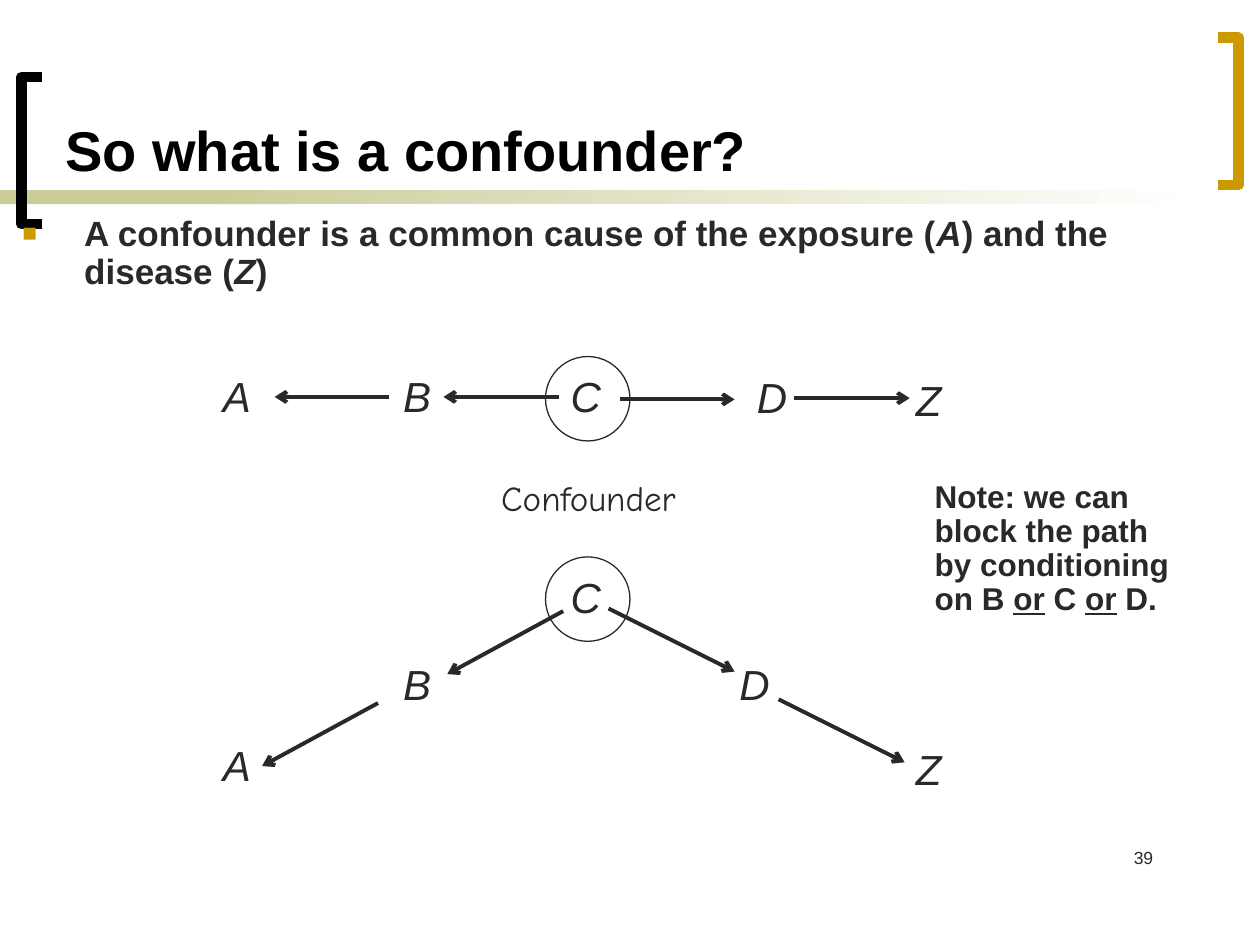
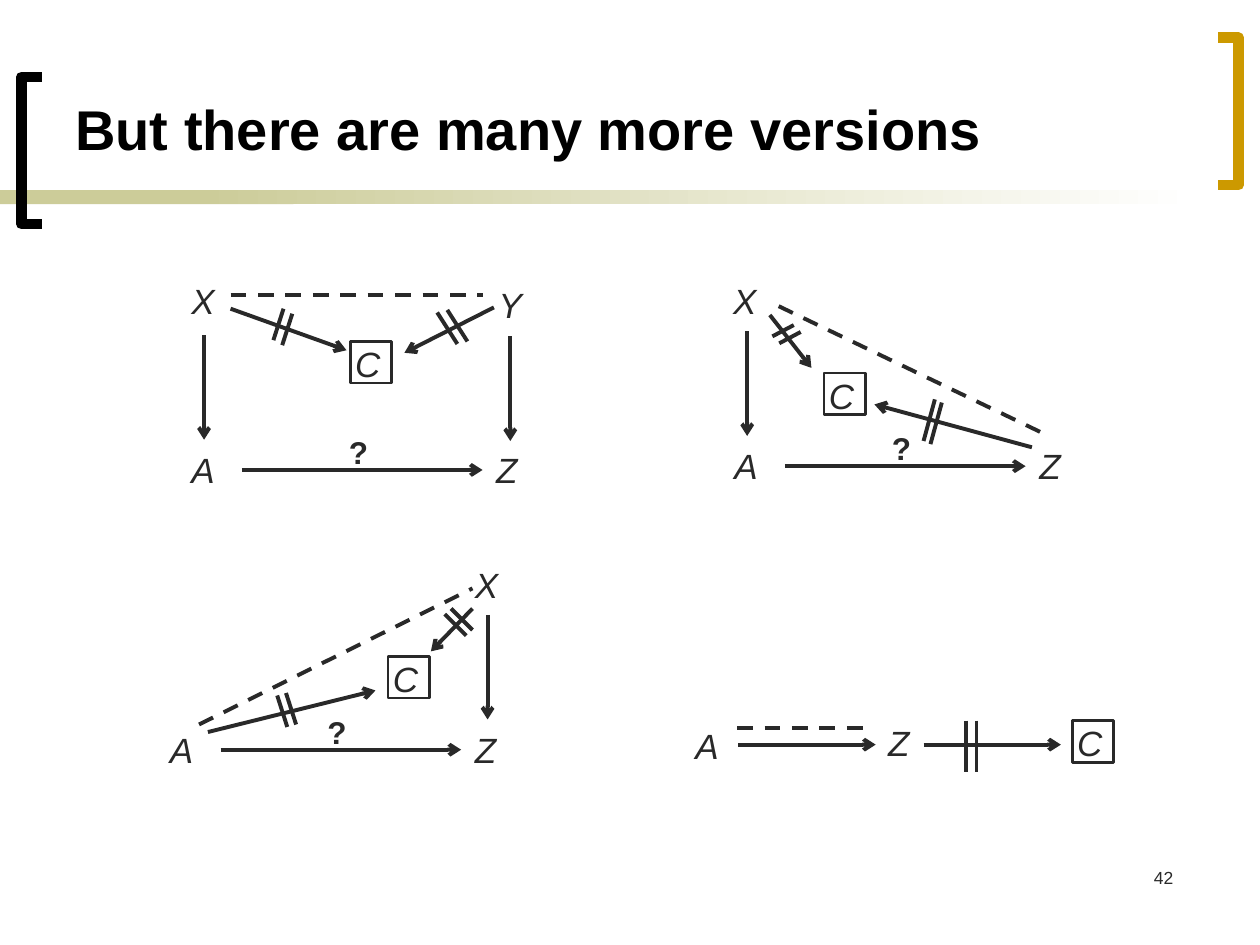
import dataclasses

import lxml.etree
import pptx
import pptx.dml.color
import pptx.enum.dml
import pptx.enum.shapes
import pptx.enum.text
import pptx.oxml.ns
import pptx.util

COLUMNS, ROWS = 100, 75
WIDTH, HEIGHT = pptx.util.Inches(10), pptx.util.Inches(7.5)
INSET = 1
EM_WIDTHS = {"A": 0.67, "B": 0.67, "C": 0.72, "D": 0.72, "X": 0.67,
             "Y": 0.67, "Z": 0.61, "?": 0.61, "Confounder": 5}


@dataclasses.dataclass(frozen=True)
class Theme:
    ink = pptx.dml.color.RGBColor.from_string("292929")
    black = pptx.dml.color.RGBColor.from_string("000000")
    white = pptx.dml.color.RGBColor.from_string("FFFFFF")
    sand = pptx.dml.color.RGBColor.from_string("CCCC99")
    gold = pptx.dml.color.RGBColor.from_string("CC9900")
    font = "Arial"
    hand_font = "Comic Neue"
    title = 32
    node = 24
    body = 20
    note = 18
    number = 10
    arrow = 2.25
    bracket = 6


THEME = Theme()


def col(columns):
    return round(WIDTH * columns / COLUMNS)


def row(rows):
    return round(HEIGHT * rows / ROWS)


def place(left, top, width, height):
    return col(left), row(top), col(width), row(height)


def add_xml(parent, tag, **attributes):
    return lxml.etree.SubElement(parent, pptx.oxml.ns.qn(tag), attributes)


def add_text(slide, area, runs, size, color=THEME.ink, font=THEME.font, bold=None,
             italic=None, wrap=True, anchor=pptx.enum.text.MSO_ANCHOR.TOP):
    frame = slide.shapes.add_textbox(*place(*area)).text_frame
    frame.word_wrap = wrap
    frame.vertical_anchor = anchor
    paragraph = frame.paragraphs[0]
    for text, emphasis in runs:
        run = paragraph.add_run()
        run.text = text
        if emphasis:
            setattr(run.font, emphasis, True)
    paragraph.font.size = pptx.util.Pt(size)
    paragraph.font.name = font
    paragraph.font.color.rgb = color
    paragraph.font.bold = bold
    paragraph.font.italic = italic
    return paragraph


def add_label(slide, text, left, top, size, **style):
    points_per_column = 72 * WIDTH / pptx.util.Inches(1) / COLUMNS
    width = 2 * INSET + EM_WIDTHS[text] * size / points_per_column
    height = INSET + 1.2 * size / points_per_column
    add_text(slide, (left, top, width, height), [(text, None)], size, wrap=False, **style)


def add_node(slide, letter, left, top, size=THEME.body):
    add_label(slide, letter, left, top, size, italic=True)


def indent(paragraph, margin, hanging=0):
    properties = paragraph._p.get_or_add_pPr()
    properties.set("marL", str(col(margin)))
    properties.set("indent", str(-col(hanging)))
    paragraph.line_spacing = 0.9
    return properties


def add_bullet(slide, area, runs):
    paragraph = add_text(slide, area, [], THEME.body, bold=True)
    paragraph._p.remove(paragraph._p.pPr)
    properties = indent(paragraph, 4.9, 4.9)
    color = add_xml(properties, "a:buClr")
    add_xml(color, "a:srgbClr", val=str(THEME.gold))
    add_xml(properties, "a:buSzPct", val="70000")
    add_xml(properties, "a:buFont", typeface=THEME.font)
    add_xml(properties, "a:buChar", char="■")
    for text, emphasis in runs:
        run = paragraph.add_run()
        run.text = text
        if emphasis:
            setattr(run.font, emphasis, True)
    paragraph.font.size = pptx.util.Pt(THEME.body)
    paragraph.font.name = THEME.font
    paragraph.font.color.rgb = THEME.ink
    paragraph.font.bold = True


def add_line(slide, start, end, arrow=False, dashed=False):
    line = slide.shapes.add_connector(
        pptx.enum.shapes.MSO_CONNECTOR.STRAIGHT,
        col(start[0]), row(start[1]), col(end[0]), row(end[1]))
    line.line.color.rgb = THEME.ink
    line.line.width = pptx.util.Pt(THEME.arrow)
    if dashed:
        line.line.dash_style = pptx.enum.dml.MSO_LINE.DASH
    if arrow:
        add_xml(line.line._get_or_add_ln(), "a:tailEnd", type="arrow")
    add_xml(line._element.spPr, "a:effectLst")


def add_arrow(slide, start, end):
    add_line(slide, start, end, arrow=True)


def add_down_arrow(slide, left, top):
    add_arrow(slide, (left, top), (left, top + 8.3))


def add_block(slide, start, end, shift):
    for step in range(2):
        dx, dy = step * shift[0], step * shift[1]
        add_line(slide, (start[0] + dx, start[1] + dy), (end[0] + dx, end[1] + dy))


def add_outline(slide, kind, area, weight):
    outline = slide.shapes.add_shape(kind, *place(*area))
    outline.shadow.inherit = False
    outline.fill.background()
    outline.line.color.rgb = THEME.ink
    outline.line.width = pptx.util.Pt(weight)


def add_confounder(slide, top):
    add_node(slide, "C", 44.3, top + 0.65, THEME.node)
    add_outline(slide, pptx.enum.shapes.MSO_SHAPE.OVAL, (43.3, top, 6.7, 6.7), 0.75)


def add_collider(slide, left, top):
    add_node(slide, "C", left, top)
    add_outline(slide, pptx.enum.shapes.MSO_SHAPE.RECTANGLE,
                (left + 0.6, top + 0.4, 3.3, 3.3), 1.5)


def add_question(slide, left, top):
    add_node(slide, "A", left, top)
    add_node(slide, "Z", left + 24.2, top)
    add_arrow(slide, (left + 5, top + 2.2), (left + 24.1, top + 2.2))
    add_label(slide, "?", left + 12.5, top - 1.2, THEME.note, bold=True)


def add_band(slide, left, width):
    band = slide.shapes.add_shape(
        pptx.enum.shapes.MSO_SHAPE.RECTANGLE, *place(left, 15.1, width, 1.1))
    band.shadow.inherit = False
    band.line.fill.background()
    return band.fill


def add_bracket(slide, spine, lip, top, color):
    bottom = top + 11.7
    outline = slide.shapes.build_freeform(col(lip), row(top))
    outline.add_line_segments(
        [(col(spine), row(top)), (col(spine), row(bottom)), (col(lip), row(bottom))],
        close=False)
    bracket = outline.convert_to_shape()
    bracket.shadow.inherit = False
    bracket.fill.background()
    bracket.line.color.rgb = color
    bracket.line.width = pptx.util.Pt(THEME.bracket)


def add_slide(deck, title, title_area, number, number_corner):
    slide = deck.slides.add_slide(deck.slide_layouts[6])
    solid = add_band(slide, 0, 23.3)
    solid.solid()
    solid.fore_color.rgb = THEME.sand
    fade = add_band(slide, 15.8, 79.2)
    fade.gradient()
    fade.gradient_angle = 0
    for stop, color in zip(fade.gradient_stops, (THEME.sand, THEME.white)):
        stop.color.rgb = color
    add_bracket(slide, 1.7, 3.3, 6.1, THEME.black)
    add_bracket(slide, 98.3, 96.7, 3, THEME.gold)
    add_text(slide, title_area, [(title, None)], THEME.title, THEME.black, bold=True,
             anchor=pptx.enum.text.MSO_ANCHOR.BOTTOM)
    page = add_text(slide, (*number_corner, 20.8, 5), [(number, None)], THEME.number)
    page.alignment = pptx.enum.text.PP_ALIGN.RIGHT
    return slide


def build_confounder(deck):
    slide = add_slide(deck, "So what is a confounder?", (4.2, 1.1, 93.3, 13.9),
                      "39", (71.7, 66.7))
    add_bullet(slide, (0.8, 16.7, 97.5, 10), [
        ("A confounder is a common cause of the exposure (", None), ("A", "italic"),
        (") and the disease (", None), ("Z", "italic"), (")", None)])
    nodes = [("A", 16.7, 28.9), ("B", 31, 28.9), ("D", 59.1, 29), ("Z", 71.7, 29.2),
             ("A", 16.7, 58.2), ("B", 31, 51.8), ("D", 57.7, 51.8), ("Z", 71.7, 58.5)]
    for letter, left, top in nodes:
        add_node(slide, letter, left, top, THEME.node)
    for top in (28.3, 44.2):
        add_confounder(slide, top)
    arrows = [((30.9, 31.5), (21.8, 31.5)), ((44.4, 31.5), (35.2, 31.5)),
              ((49.2, 31.7), (58.3, 31.7)), ((63, 31.6), (72.2, 31.6)),
              ((44.7, 48.5), (35.5, 53.5)), ((30, 55.8), (20.8, 60.8)),
              ((48.3, 48.3), (58.3, 53.3)), ((61.8, 55.5), (71.8, 60.5))]
    for start, end in arrows:
        add_arrow(slide, start, end)
    add_label(slide, "Confounder", 38.8, 37.3, THEME.body, font=THEME.hand_font)
    note = add_text(slide, (68.3, 37.7, 25.8, 14.2), [
        ("Note: we can block the path by conditioning on B ", None), ("or", "underline"),
        (" C ", None), ("or", "underline"), (" D.", None)], THEME.note, bold=True)
    indent(note, 4.9)


def build_versions(deck):
    slide = add_slide(deck, "But there are many more versions", (5, 0.8, 90, 12.5),
                      "42", (73.3, 68.3))
    for left, top in ((14.2, 35.1), (57.3, 34.8), (12.5, 57.3)):
        add_question(slide, left, top)
    nodes = [("X", 14.2, 21.7), ("Y", 38.6, 22), ("X", 57.2, 21.7),
             ("X", 36.7, 44.2), ("A", 54.2, 57), ("Z", 69.5, 56.8)]
    for letter, left, top in nodes:
        add_node(slide, letter, left, top)
    for left, top in ((27.2, 26.7), (64.8, 29.2), (30.2, 51.7), (84.5, 56.8)):
        add_collider(slide, left, top)
    for left, top in ((16.2, 26.6), (40.5, 26.7), (59.3, 26.3), (38.7, 48.8)):
        add_down_arrow(slide, left, top)
    arrows = [((18.3, 24.5), (27.5, 27.8)), ((39.2, 24.4), (32.1, 28)),
              ((61.1, 25), (64.4, 29.2)), ((81.9, 35.5), (69.4, 32.1)),
              ((37.5, 48.3), (34.2, 51.7)), ((16.5, 58.1), (29.8, 54.8)),
              ((58.6, 59.1), (69.5, 59.1)), ((73.3, 59.1), (84.2, 59.1))]
    for start, end in arrows:
        add_arrow(slide, start, end)
    associations = [((18.3, 23.4), (38.3, 23.4)), ((61.8, 24.3), (82.6, 34.3)),
                    ((15.8, 57.5), (37.5, 46.7)), ((58.5, 57.8), (68.5, 57.8))]
    for start, end in associations:
        add_line(slide, start, end, dashed=True)
    blocks = [((22.5, 24.5), (21.7, 27), (0.7, 0.4)),
              ((35.5, 24.6), (37.1, 27.1), (-0.8, 0.2)),
              ((22, 55.2), (22.8, 57.7), (0.7, -0.2)),
              ((35.8, 48.3), (37.5, 50), (-0.5, 0.45)),
              ((61.3, 26.7), (63, 25.8), (0.55, 0.55)),
              ((74.2, 31.7), (73.3, 35), (0.55, 0.25)),
              ((76.7, 57.2), (76.7, 61.3), (0.8, 0))]
    for start, end, shift in blocks:
        add_block(slide, start, end, shift)


def main():
    deck = pptx.Presentation()
    deck.slide_width, deck.slide_height = WIDTH, HEIGHT
    build_confounder(deck)
    build_versions(deck)
    deck.save("out.pptx")


if __name__ == "__main__":
    main()
